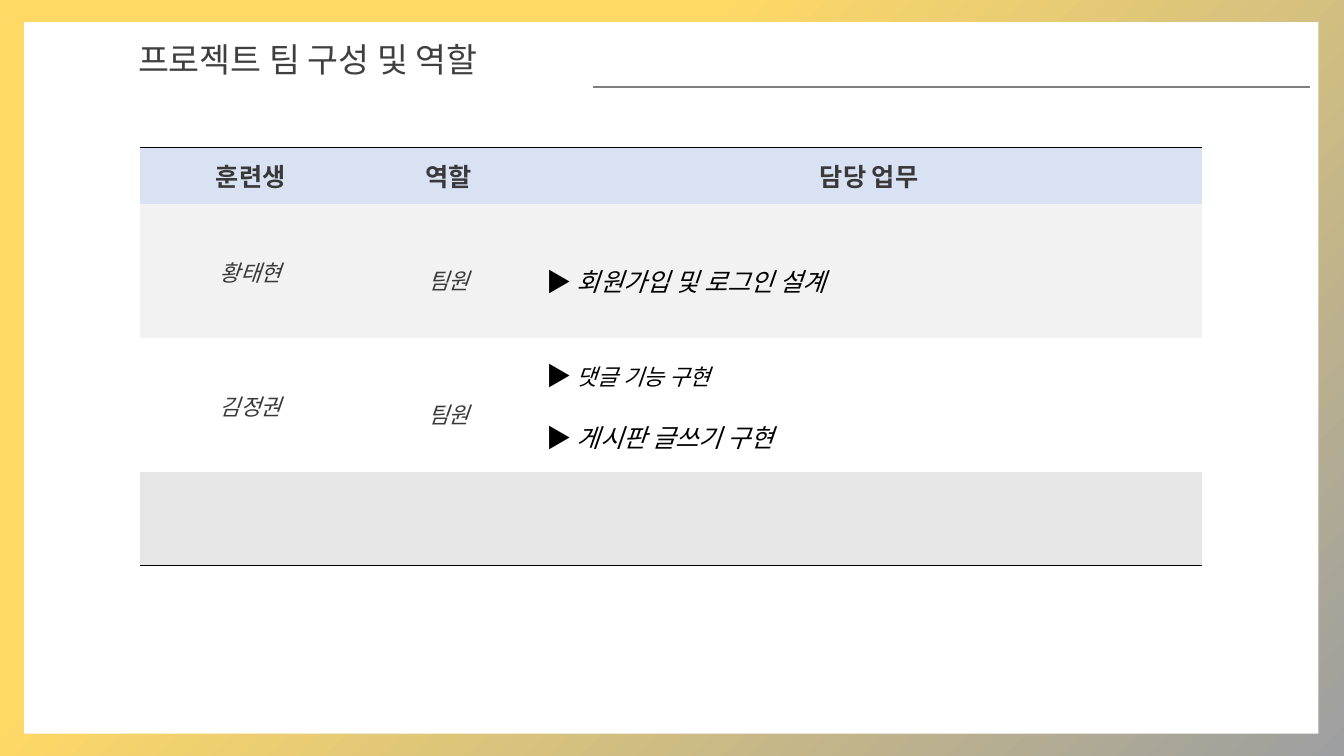
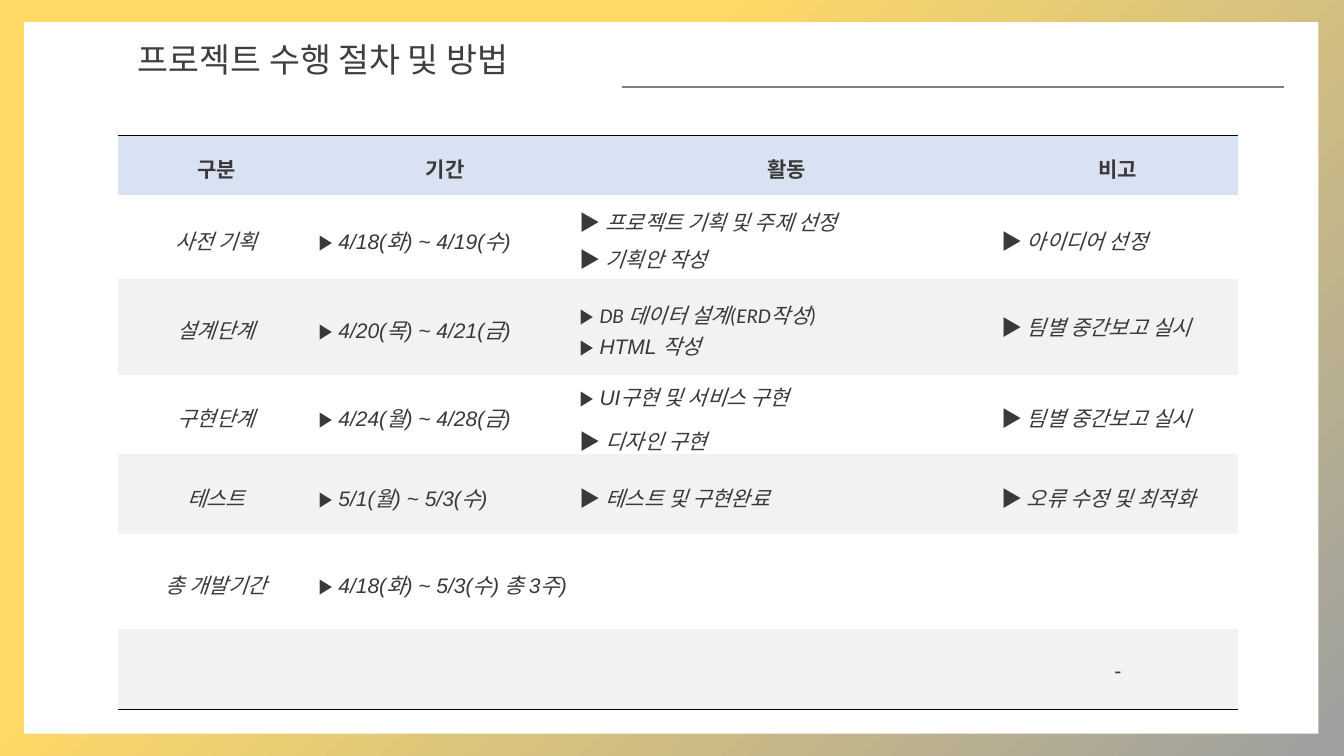
from lxml import etree
from pptx import Presentation
from pptx.dml.color import RGBColor
from pptx.enum.shapes import MSO_CONNECTOR, MSO_SHAPE
from pptx.enum.text import MSO_ANCHOR, MSO_AUTO_SIZE, PP_ALIGN
from pptx.oxml import parse_xml
from pptx.oxml.ns import nsdecls, qn
from pptx.util import Inches, Pt

STRAIGHT = MSO_CONNECTOR.STRAIGHT
RECTANGLE = MSO_SHAPE.RECTANGLE
MIDDLE = MSO_ANCHOR.MIDDLE
GROW = MSO_AUTO_SIZE.SHAPE_TO_FIT_TEXT
LEFT, CENTER = PP_ALIGN.LEFT, PP_ALIGN.CENTER

BLACK = RGBColor(0x00, 0x00, 0x00)
WHITE = RGBColor(0xFF, 0xFF, 0xFF)
TITLE_GREY = RGBColor(0x3F, 0x3F, 0x3F)
TEXT_GREY = RGBColor(0x3A, 0x38, 0x38)
RULE_GREY = RGBColor(0x7F, 0x7F, 0x7F)
HEADER_BLUE = RGBColor(0xD8, 0xE2, 0xF3)
BAND_GREY = RGBColor(0xF2, 0xF2, 0xF2)
LAST_GREY = RGBColor(0xE6, 0xE6, 0xE6)
YELLOW = RGBColor(0xFF, 0xD9, 0x66)
CORNER_GREY = RGBColor(0x9D, 0x9F, 0xA0)

LATIN_FONT, KOREAN_FONT = "Arial", "Noto Sans CJK KR"
PLAIN_TABLE_STYLE = "{2D5ABB26-0587-4C30-8999-92F81FD0307C}"
MARKER = "▶"

BACKGROUND = f"""<p:bg {nsdecls('p', 'a')}><p:bgPr><a:gradFill rotWithShape="1"><a:gsLst>
<a:gs pos="0"><a:srgbClr val="{YELLOW}"/></a:gs>
<a:gs pos="34000"><a:srgbClr val="{YELLOW}"/></a:gs>
<a:gs pos="100000"><a:srgbClr val="{CORNER_GREY}"><a:alpha val="70000"/></a:srgbClr></a:gs>
</a:gsLst><a:lin ang="2700000" scaled="0"/></a:gradFill><a:effectLst/></p:bgPr></p:bg>"""
BORDER = """<a:{side} {namespace} w="9525"><a:solidFill><a:srgbClr val="{color}"/></a:solidFill></a:{side}>"""

# Positions and sizes are percentages of the slide; insets are inches.
# Overrides belong to a (row, line) of the table.
PAGES = [
    {
        "title": "프로젝트 팀 구성 및 역할",
        "title_width": 31.8,
        "rule": (44.1, 97.5),
        "corner": (10.4, 19.45),
        "columns": (16.5, 12.98, 49.58),
        "rows": (7.6, 17.73, 17.73, 12.27),
        "fills": (HEADER_BLUE, BAND_GREY, WHITE, LAST_GREY),
        "inset": (0.1, 0.05, 0.1, 0.05),
        "marked_inset": (0.1, 0.05, 0.1, 0.05),
        "header_size": 18,
        "body_size": 16,
        "marked_size": 18,
        "marked_color": BLACK,
        "line_spacing": 1.0,
        "cells": [
            ("훈련생", "역할", "담당 업무"),
            ("황태현", "팀원", "▶ 회원가입 및 로그인 설계"),
            ("김정권", "팀원", "▶ 댓글 기능 구현\n▶ 게시판 글쓰기 구현"),
            ("", "", ""),
        ],
        "overrides": {
            (1, "팀원"): {"line_spacing": 1.5},
            (1, "▶ 회원가입 및 로그인 설계"): {"line_spacing": 1.5},
            (2, "팀원"): {"line_spacing": 1.5},
            (2, "▶ 댓글 기능 구현"): {"size": 16},
            (2, "▶ 게시판 글쓰기 구현"): {"space_before": 18},
        },
    },
    {
        "title": "프로젝트 수행 절차 및 방법",
        "title_width": 34.35,
        "rule": (46.28, 95.55),
        "corner": (8.78, 17.95),
        "columns": (14.63, 19.43, 31.35, 17.93),
        "rows": (7.87, 11.07, 12.67, 10.53, 10.53, 12.67, 10.53),
        "fills": (HEADER_BLUE, *[WHITE, BAND_GREY] * 3),
        "inset": (0.09, 0.05, 0.09, 0.05),
        "marked_inset": (0.04, 0, 0, 0),
        "header_size": 15,
        "body_size": 15,
        "marked_size": 15,
        "marked_color": TEXT_GREY,
        "line_spacing": 1.2,
        "cells": [
            ("구분", "기간", "활동", "비고"),
            ("사전 기획", "▶ 4/18(화) ~ 4/19(수)",
             "▶ 프로젝트 기획 및 주제 선정\n▶ 기획안 작성", "▶ 아이디어 선정"),
            ("설계단계", "▶ 4/20(목) ~ 4/21(금)",
             "▶ DB 데이터 설계(ERD작성)\n▶ HTML 작성", "▶ 팀별 중간보고 실시"),
            ("구현단계", "▶ 4/24(월) ~ 4/28(금)",
             "▶ UI구현 및 서비스 구현\n▶ 디자인 구현", "▶ 팀별 중간보고 실시"),
            ("테스트", "▶ 5/1(월) ~ 5/3(수)", "▶ 테스트 및 구현완료", "▶ 오류 수정 및 최적화"),
            ("총 개발기간", "▶ 4/18(화) ~ 5/3(수) 총 3주)", "", ""),
            ("", "", "", "-"),
        ],
        "overrides": {
            (2, "▶ DB 데이터 설계(ERD작성)"): {"name": "Calibri"},
            (2, "▶ HTML 작성"): {"line_spacing": 1.0},
            (2, "▶ 팀별 중간보고 실시"): {"line_spacing": 1.0},
            (3, "▶ 디자인 구현"): {"space_before": 6},
        },
    },
]


def add_run(paragraph, text, color, **format_values):
    """Add a run with its Latin and Korean fonts."""
    run = paragraph.add_run()
    run.text = text
    for name, value in {"name": LATIN_FONT, **format_values}.items():
        setattr(run.font, name, Pt(value) if name == "size" else value)
    run.font.color.rgb = color
    korean = etree.SubElement(run.font._element, qn("a:ea"))
    korean.set("typeface", KOREAN_FONT)


def write_cell(cell, text, row, page):
    """Fill one table cell, with a bold marker ahead of marked lines."""
    header, marked = row == 0, text.startswith(MARKER)
    inset = page["marked_inset" if marked else "inset"]
    for side, length in zip(("left", "top", "right", "bottom"), inset):
        setattr(cell, f"margin_{side}", Inches(length))
    cell.vertical_anchor = MIDDLE
    cell.fill.solid()
    cell.fill.fore_color.rgb = page["fills"][row]
    kind = "header" if header else "marked" if marked else "body"
    size = page[f"{kind}_size"]
    color = page["marked_color"] if marked else TEXT_GREY
    for number, line in enumerate(text.split("\n") if text else []):
        paragraph = cell.text_frame.add_paragraph() if number else cell.text_frame.paragraphs[0]
        values = page["overrides"].get((row, line), {})
        paragraph.alignment = LEFT if marked else CENTER
        paragraph.line_spacing = values.get("line_spacing", page["line_spacing"])
        if "space_before" in values:
            paragraph.space_before = Pt(values["space_before"])
        if marked:
            add_run(paragraph, MARKER + " ", color, size=size, bold=True, italic=False)
        add_run(paragraph, line.removeprefix(MARKER + " "), color,
                size=values.get("size", size), name=values.get("name", LATIN_FONT),
                bold=header, italic=not header)


presentation = Presentation()
presentation.slide_width, presentation.slide_height = Inches(13.33), Inches(7.5)
ACROSS = presentation.slide_width / 100
DOWN = presentation.slide_height / 100
blank_layout = presentation.slide_layouts[6]

for page in PAGES:
    slide = presentation.slides.add_slide(blank_layout)
    shapes = slide.shapes

    # Gradient frame and white panel
    slide._element.cSld.insert(0, parse_xml(BACKGROUND))
    panel = shapes.add_shape(RECTANGLE, int(1.8 * ACROSS), int(2.93 * DOWN),
                             int(96.3 * ACROSS), int(94.13 * DOWN))
    panel.shadow.inherit = False
    panel.fill.solid()
    panel.fill.fore_color.rgb = WHITE
    panel.line.fill.background()

    # Title and rule
    title = shapes.add_textbox(int(9.53 * ACROSS), int(4.53 * DOWN),
                               int(page["title_width"] * ACROSS), int(6.67 * DOWN))
    title.text_frame.word_wrap = True
    title.text_frame.auto_size = GROW
    add_run(title.text_frame.paragraphs[0], page["title"], TITLE_GREY, size=24)
    start, end = (int(share * ACROSS) for share in page["rule"])
    rule = shapes.add_connector(STRAIGHT, start, int(11.5 * DOWN), end, int(11.5 * DOWN))
    rule.line.color.rgb = RULE_GREY
    rule.line.width = Pt(1)
    etree.SubElement(rule._element.spPr, qn("a:effectLst"))

    # Table with a border above the header and below the last row
    left, top = page["corner"]
    widths, heights = page["columns"], page["rows"]
    table = shapes.add_table(len(heights), len(widths), int(left * ACROSS), int(top * DOWN),
                             int(sum(widths) * ACROSS), int(sum(heights) * DOWN)).table
    table.first_row = table.horz_banding = False
    table._tbl.tblPr.find(qn("a:tableStyleId")).text = PLAIN_TABLE_STYLE
    for column, width in zip(table.columns, widths):
        column.width = int(width * ACROSS)
    for row, (texts, height) in enumerate(zip(page["cells"], heights)):
        table.rows[row].height = int(height * DOWN)
        side = {0: "lnT", len(heights) - 1: "lnB"}.get(row)
        for column, text in enumerate(texts):
            cell = table.cell(row, column)
            write_cell(cell, text, row, page)
            if side:
                border = BORDER.format(side=side, namespace=nsdecls("a"), color=BLACK)
                cell._tc.get_or_add_tcPr().insert(0, parse_xml(border))

presentation.save("out.pptx")
